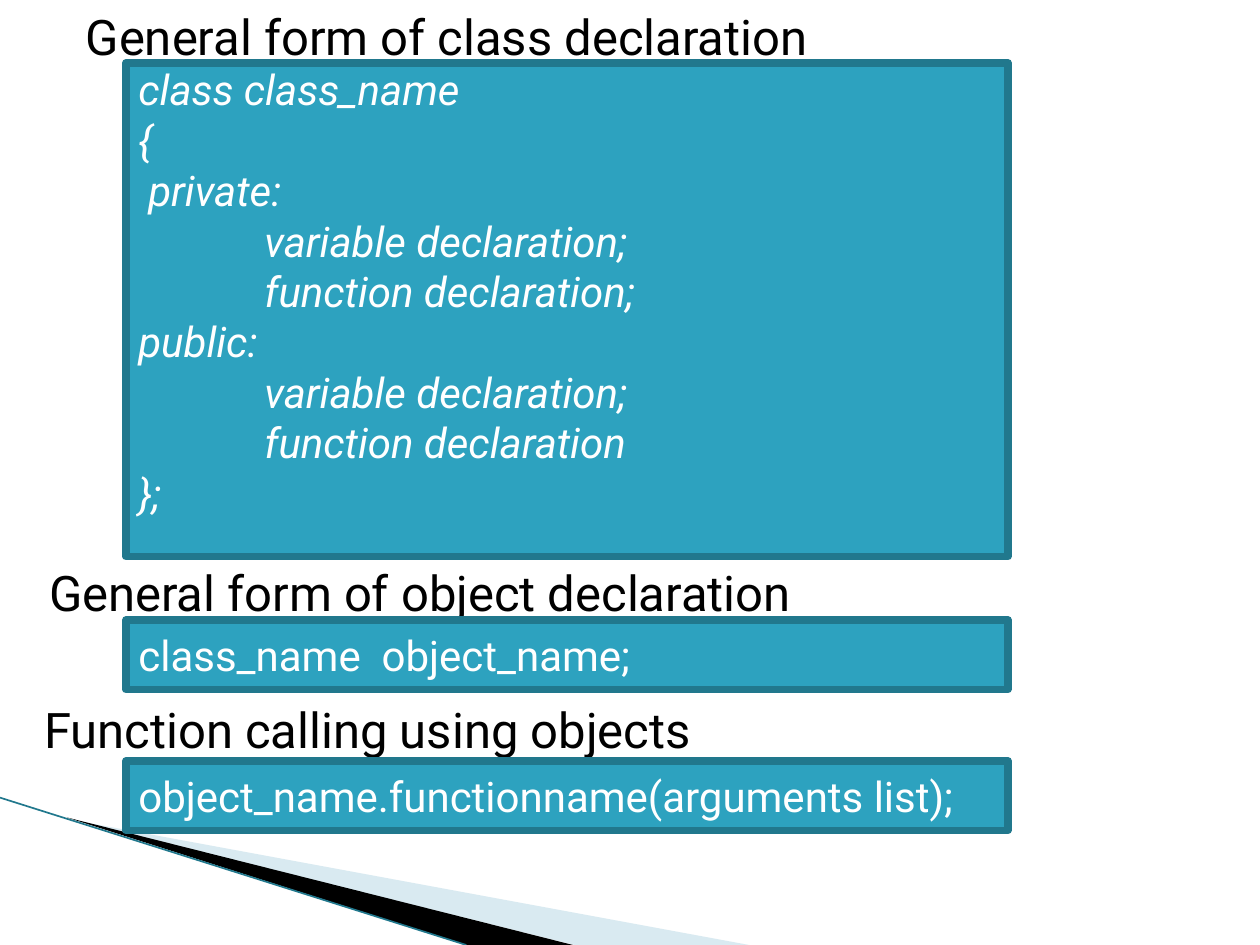
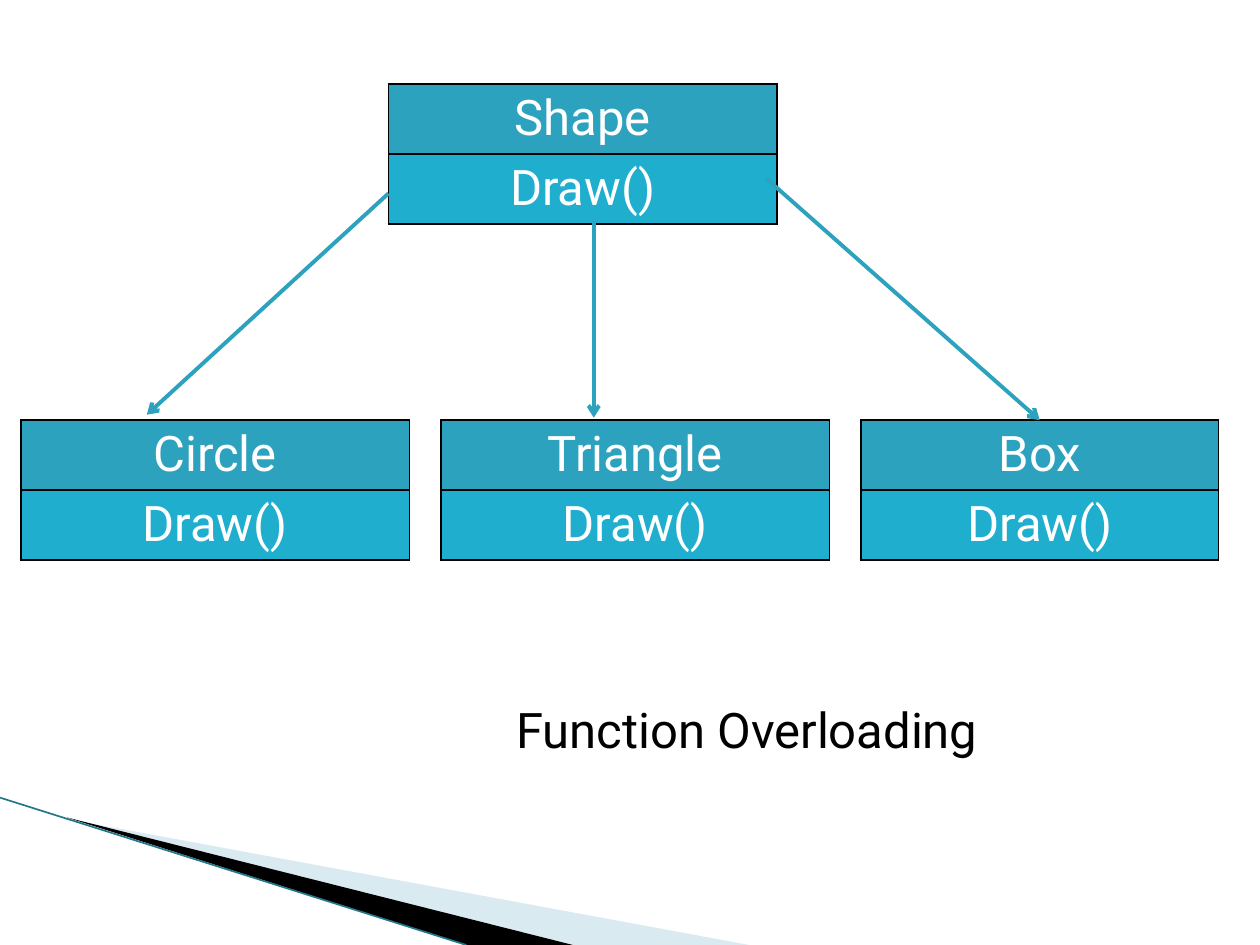
from lxml import etree
from pptx import Presentation
from pptx import util as u
from pptx.dml.color import RGBColor
from pptx.enum import shapes, text
from pptx.oxml import ns

FONT = "Roboto"
COLOURS = {
    "ink": "000000",
    "paper": "FFFFFF",
    "teal": "2DA2BF",
    "method": "1FAECD",
    "edge": "21788D",
    "mist": "A0CBDC",
}
CODE_LEFT, CODE_WIDTH = 2.54, 17.78
HEADING_SIZE, CODE_SIZE = 28, 24
HEADING_HEIGHT = 1.45
ROW_HEIGHT = 1.41
INDENT = 2.54

CLASS_LINES = [
    ("class class_name", 0),
    ("{", 0),
    ("private:", 0.2),
    ("variable declaration;", INDENT),
    ("function declaration;", INDENT),
    ("public:", 0),
    ("variable declaration;", INDENT),
    ("function declaration", INDENT),
    ("};", 0),
]


def colour(name):
    return RGBColor.from_string(COLOURS[name])


def add_element(parent, tag, **attributes):
    return etree.SubElement(parent, ns.qn(tag), attributes)


def paint(shape, fill):
    shape.fill.solid()
    shape.fill.fore_color.rgb = colour(fill)


def add_span(para, words, size, ink, italic=False):
    span = para.add_run()
    span.text = words
    span.font.name = FONT
    span.font.size = u.Pt(size)
    span.font.italic = italic
    span.font.color.rgb = colour(ink)


def add_heading(page, words, left, top, width=22.23):
    box = page.shapes.add_textbox(u.Cm(left), u.Cm(top), u.Cm(width), u.Cm(HEADING_HEIGHT))
    box.text_frame.word_wrap = True
    add_span(box.text_frame.paragraphs[0], words, HEADING_SIZE, "ink")


def add_code_box(page, lines, top, height, italic=False, anchor=text.MSO_ANCHOR.MIDDLE):
    box = page.shapes.add_shape(shapes.MSO_SHAPE.RECTANGLE, u.Cm(CODE_LEFT), u.Cm(top),
                                u.Cm(CODE_WIDTH), u.Cm(height))
    box.shadow.inherit = False
    paint(box, "teal")
    box.line.color.rgb = colour("edge")
    box.line.width = u.Pt(4.33)
    frame = box.text_frame
    frame.word_wrap = True
    frame.vertical_anchor = anchor
    frame.margin_top = frame.margin_bottom = u.Cm(0.02)
    for number, (words, indent) in enumerate(lines):
        para = frame.add_paragraph() if number else frame.paragraphs[0]
        para.alignment = text.PP_ALIGN.JUSTIFY
        para._p.get_or_add_pPr().set("marL", str(u.Cm(indent)))
        add_span(para, words, CODE_SIZE, "paper", italic)


def add_line(page, start, end, ink, width, arrow=False):
    line = page.shapes.add_connector(shapes.MSO_CONNECTOR.STRAIGHT,
                                     *(u.Cm(value) for value in start + end))
    line.line.color.rgb = colour(ink)
    line.line.width = u.Pt(width)
    if arrow:
        add_element(line.line._get_or_add_ln(), "a:tailEnd", type="arrow")
    add_element(line._element.spPr, "a:effectLst")


def add_wedge(page, points, fill, opacity=100):
    first, *others = [(u.Cm(x), u.Cm(y)) for x, y in points]
    builder = page.shapes.build_freeform(*first)
    builder.add_line_segments(others)
    wedge = builder.convert_to_shape()
    wedge.shadow.inherit = False
    paint(wedge, fill)
    wedge.line.fill.background()
    if opacity < 100:
        tint = wedge._element.spPr.find(".//" + ns.qn("a:srgbClr"))
        add_element(tint, "a:alpha", val=str(opacity * 1000))


def add_corner_bands(page):
    add_wedge(page, [(1.4, 16.52), (15.1, 19.05), (11.58, 19.05)], "mist", 40)
    add_wedge(page, [(1.35, 16.48), (11.55, 19.05), (9.4, 19.05)], "ink")
    add_line(page, (0, 16.08), (9.4, 19.05), "edge", 0.95)


def add_cell_borders(cell):
    properties = cell._tc.get_or_add_tcPr()
    for position, side in enumerate(("a:lnL", "a:lnR", "a:lnT", "a:lnB")):
        border = etree.Element(ns.qn(side), w=str(u.Pt(1)))
        add_element(add_element(border, "a:solidFill"), "a:srgbClr", val=COLOURS["ink"])
        properties.insert(position, border)


def add_class_table(page, name, left, top, width):
    table = page.shapes.add_table(2, 1, u.Cm(left), u.Cm(top), u.Cm(width),
                                  u.Cm(2 * ROW_HEIGHT)).table
    for row, (words, fill) in enumerate([(name, "teal"), ("Draw()", "method")]):
        cell = table.cell(row, 0)
        paint(cell, fill)
        add_cell_borders(cell)
        para = cell.text_frame.paragraphs[0]
        para.alignment = text.PP_ALIGN.CENTER
        add_span(para, words, HEADING_SIZE, "paper")


def add_page(deck):
    page = deck.slides.add_slide(deck.slide_layouts[6])
    page.background.fill.solid()
    page.background.fill.fore_color.rgb = colour("paper")
    add_corner_bands(page)
    return page


def build_declarations(page):
    add_heading(page, "General form of class declaration", 1.48, 0)
    add_code_box(page, CLASS_LINES, 1.27, 9.95, True, text.MSO_ANCHOR.TOP)
    add_heading(page, "General form of object declaration", 0.74, 11.22)
    add_code_box(page, [("class_name  object_name;", 0)], 12.5, 1.4)
    add_heading(page, "Function calling using objects", 0.64, 13.97)
    add_code_box(page, [("object_name.functionname(arguments list);", 0)], 15.34, 1.4)


def build_overloading(page):
    add_class_table(page, "Shape", 7.83, 1.69, 7.83)
    children = [("Circle", 7.83), ("Triangle", 7.83), ("Box", 7.2)]
    for column, (name, width) in enumerate(children):
        add_class_table(page, name, 0.42 + 8.47 * column, 8.47, width)
    arrows = [((7.83, 3.9), (2.96, 8.36)),
              ((11.97, 4.45), (11.97, 8.42)),
              ((15.45, 3.6), (20.96, 8.47))]
    for start, end in arrows:
        add_line(page, start, end, "teal", 2.25, arrow=True)
    add_heading(page, "Function Overloading", 10.16, 13.97, 13.97)


def main():
    deck = Presentation()
    deck.slide_width, deck.slide_height = u.Cm(25.4), u.Cm(19.05)
    build_declarations(add_page(deck))
    build_overloading(add_page(deck))
    deck.save("out.pptx")


if __name__ == "__main__":
    main()
